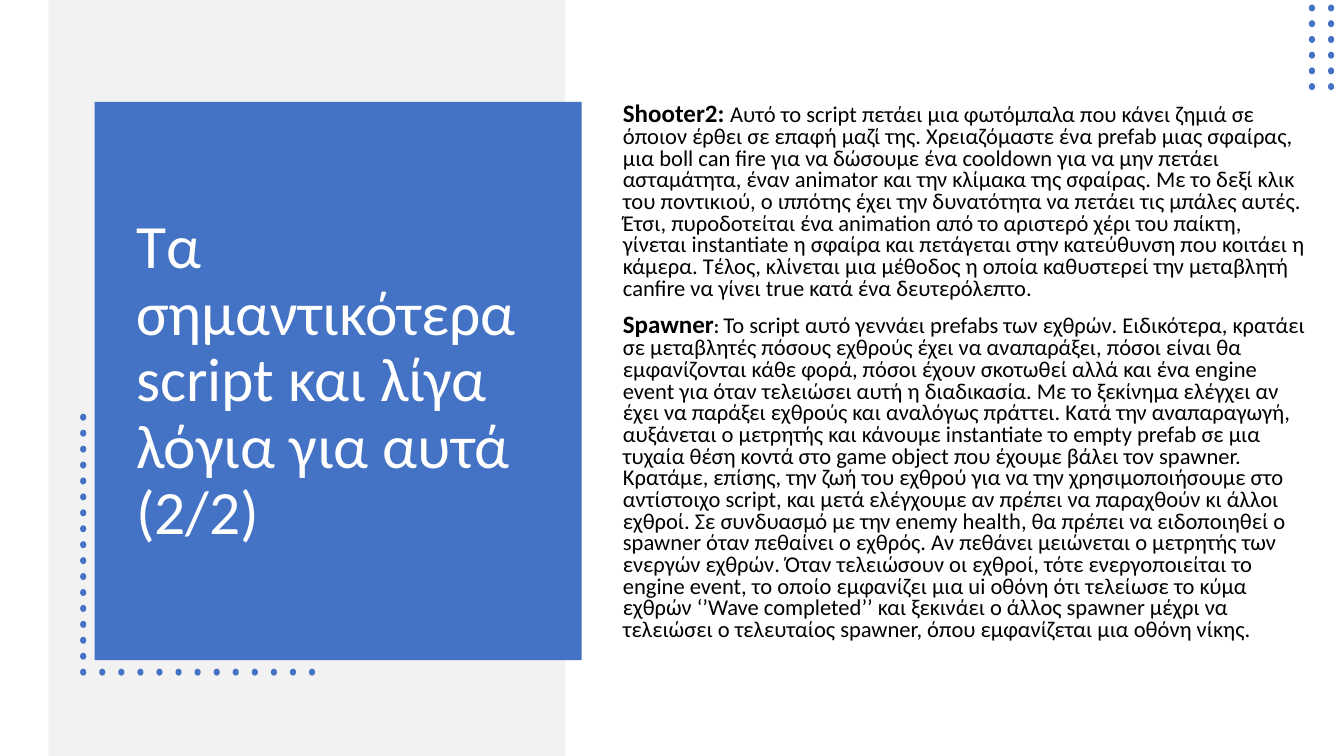
from dataclasses import dataclass

from lxml.etree import SubElement
from pptx import Presentation
from pptx.dml.color import RGBColor
from pptx.enum.shapes import MSO_SHAPE as Preset
from pptx.enum.text import MSO_ANCHOR as Anchor, MSO_AUTO_SIZE as AutoSize, PP_ALIGN as Align
from pptx.oxml.ns import qn
from pptx.shapes.autoshape import Shape
from pptx.util import Pt


@dataclass(frozen=True)
class Theme:
    font: str = "Calibri"
    accent: RGBColor = RGBColor(0x44, 0x72, 0xC4)
    band: RGBColor = RGBColor(0xF2, 0xF2, 0xF2)
    title_text: RGBColor = RGBColor(0xFF, 0xFF, 0xFF)
    body_text: RGBColor = RGBColor(0, 0, 0)
    title_size: float = 44
    name_size: float = 17.9
    colon_size: float = 13.6
    body_size: float = 16.1


@dataclass(frozen=True)
class Frame:
    left: float
    top: float
    width: float
    height: float


@dataclass(frozen=True)
class DotGrid:
    left: float
    top: float
    columns: int
    rows: int
    column_step: float
    row_step: float


@dataclass(frozen=True)
class Words:
    text: str
    size: float
    bold: bool = False


THEME = Theme()
BAND = Frame(34.56, 0, 369.36, 540)
PANEL = Frame(67.68, 72.72, 347.76, 398.88)
TITLE = Frame(90, 104.4, 298.08, 336.96)
BODY = Frame(437.76, 59.76, 504.72, 412.5)
DOT_WIDTH, DOT_HEIGHT = 4.4, 5

PANEL_DOTS = [
    DotGrid(57.24, 295.56, 1, 17, 0, 11.38),
    DotGrid(70.86, 477.64, 12, 1, 13.62, 0),
]
CORNER_DOTS = [DotGrid(934.92, 3.24, 2, 6, 13.68, 11.23)]

TITLE_TEXT = "Τα σημαντικότερα script και λίγα λόγια για αυτά (2/2)"
SCRIPTS = [
    [
        Words("Shooter2: ", THEME.name_size, True),
        Words(
            "Αυτό το script πετάει μια φωτόμπαλα που κάνει ζημιά σε όποιον έρθει σε επαφή "
            "μαζί της. Χρειαζόμαστε ένα prefab μιας σφαίρας, μια boll can fire για να "
            "δώσουμε ένα cooldown για να μην πετάει ασταμάτητα, έναν animator και την "
            "κλίμακα της σφαίρας. Με το δεξί κλικ του ποντικιού, ο ιππότης έχει την "
            "δυνατότητα να πετάει τις μπάλες αυτές. Έτσι, πυροδοτείται ένα animation από "
            "το αριστερό χέρι του παίκτη, γίνεται instantiate η σφαίρα και πετάγεται στην "
            "κατεύθυνση που κοιτάει η κάμερα. Τέλος, κλίνεται μια μέθοδος η οποία "
            "καθυστερεί την μεταβλητή canfire να γίνει true κατά ένα δευτερόλεπτο.",
            THEME.body_size,
        ),
    ],
    [
        Words("Spawner", THEME.name_size, True),
        Words(": ", THEME.colon_size, True),
        Words(
            "Το script αυτό γεννάει prefabs των εχθρών. Ειδικότερα, κρατάει σε μεταβλητές "
            "πόσους εχθρούς έχει να αναπαράξει, πόσοι είναι θα εμφανίζονται κάθε φορά, "
            "πόσοι έχουν σκοτωθεί αλλά και ένα engine event για όταν τελειώσει αυτή η "
            "διαδικασία. Με το ξεκίνημα ελέγχει αν έχει να παράξει εχθρούς και αναλόγως "
            "πράττει. Κατά την αναπαραγωγή, αυξάνεται ο μετρητής και κάνουμε instantiate "
            "το empty prefab σε μια τυχαία θέση κοντά στο game object που έχουμε βάλει τον "
            "spawner. ",
            THEME.body_size,
        ),
        Words(
            "Κρατάμε, επίσης, την ζωή του εχθρού για να την χρησιμοποιήσουμε στο "
            "αντίστοιχο script, και μετά ελέγχουμε αν πρέπει να παραχθούν κι άλλοι εχθροί. "
            "Σε συνδυασμό με την enemy health, θα πρέπει να ειδοποιηθεί ο spawner όταν "
            "πεθαίνει ο εχθρός. Αν πεθάνει μειώνεται ο μετρητής των ενεργών εχθρών. Όταν "
            "τελειώσουν οι εχθροί, τότε ενεργοποιείται το engine event, το οποίο "
            "εμφανίζει μια ui οθόνη ότι τελείωσε το κύμα εχθρών ‘’Wave completed’’ και "
            "ξεκινάει ο άλλος spawner μέχρι να τελειώσει ο τελευταίος spawner, όπου "
            "εμφανίζεται μια οθόνη νίκης.",
            THEME.body_size,
        ),
    ],
]


def place(box: Shape, frame: Frame) -> None:
    box.left, box.top = Pt(frame.left), Pt(frame.top)
    box.width, box.height = Pt(frame.width), Pt(frame.height)


def add_filled(shapes, preset: Preset, frame: Frame, color: RGBColor) -> None:
    box = shapes.add_shape(
        preset, Pt(frame.left), Pt(frame.top), Pt(frame.width), Pt(frame.height)
    )
    box.shadow.inherit = False
    box.fill.solid()
    box.fill.fore_color.rgb = color
    box.line.fill.background()


def add_dots(shapes, grids: list[DotGrid]) -> None:
    group = shapes.add_group_shape()
    for grid in grids:
        for row in range(grid.rows):
            for column in range(grid.columns):
                left = grid.left + column * grid.column_step
                top = grid.top + row * grid.row_step
                dot = Frame(left, top, DOT_WIDTH, DOT_HEIGHT)
                add_filled(group.shapes, Preset.OVAL, dot, THEME.accent)


def prepare_text(box: Shape, frame: Frame) -> None:
    place(box, frame)
    box.text_frame.word_wrap = True
    box.text_frame.auto_size = AutoSize.NONE
    box.text_frame.vertical_anchor = Anchor.MIDDLE


def fill_title(title: Shape) -> None:
    prepare_text(title, TITLE)
    title.text_frame.text = TITLE_TEXT
    para = title.text_frame.paragraphs[0]
    para.alignment = Align.LEFT
    para.line_spacing = 0.9
    para.font.name = THEME.font
    para.font.size = Pt(THEME.title_size)
    para.font.color.rgb = THEME.title_text


def fill_body(body: Shape) -> None:
    prepare_text(body, BODY)
    for index, script in enumerate(SCRIPTS):
        para = body.text_frame.add_paragraph() if index else body.text_frame.paragraphs[0]
        para.line_spacing = 0.8
        para.space_before = Pt(10 if index else 0)
        properties = para._p.get_or_add_pPr()
        properties.set("marL", "0")
        properties.set("indent", "0")
        SubElement(properties, qn("a:buNone"))
        para.font.name = THEME.font
        para.font.color.rgb = THEME.body_text
        for words in script:
            span = para.add_run()
            span.text = words.text
            span.font.size = Pt(words.size)
            span.font.bold = words.bold


def main() -> None:
    deck = Presentation()
    deck.slide_width, deck.slide_height = Pt(960), Pt(540)
    page = deck.slides.add_slide(deck.slide_layouts[1])
    title, body = page.placeholders
    add_filled(page.shapes, Preset.RECTANGLE, BAND, THEME.band)
    add_filled(page.shapes, Preset.RECTANGLE, PANEL, THEME.accent)
    add_dots(page.shapes, PANEL_DOTS)
    add_dots(page.shapes, CORNER_DOTS)
    fill_title(title)
    fill_body(body)
    for box in (title, body):
        page.shapes._spTree.append(box._element)
    deck.save("out.pptx")


if __name__ == "__main__":
    main()
